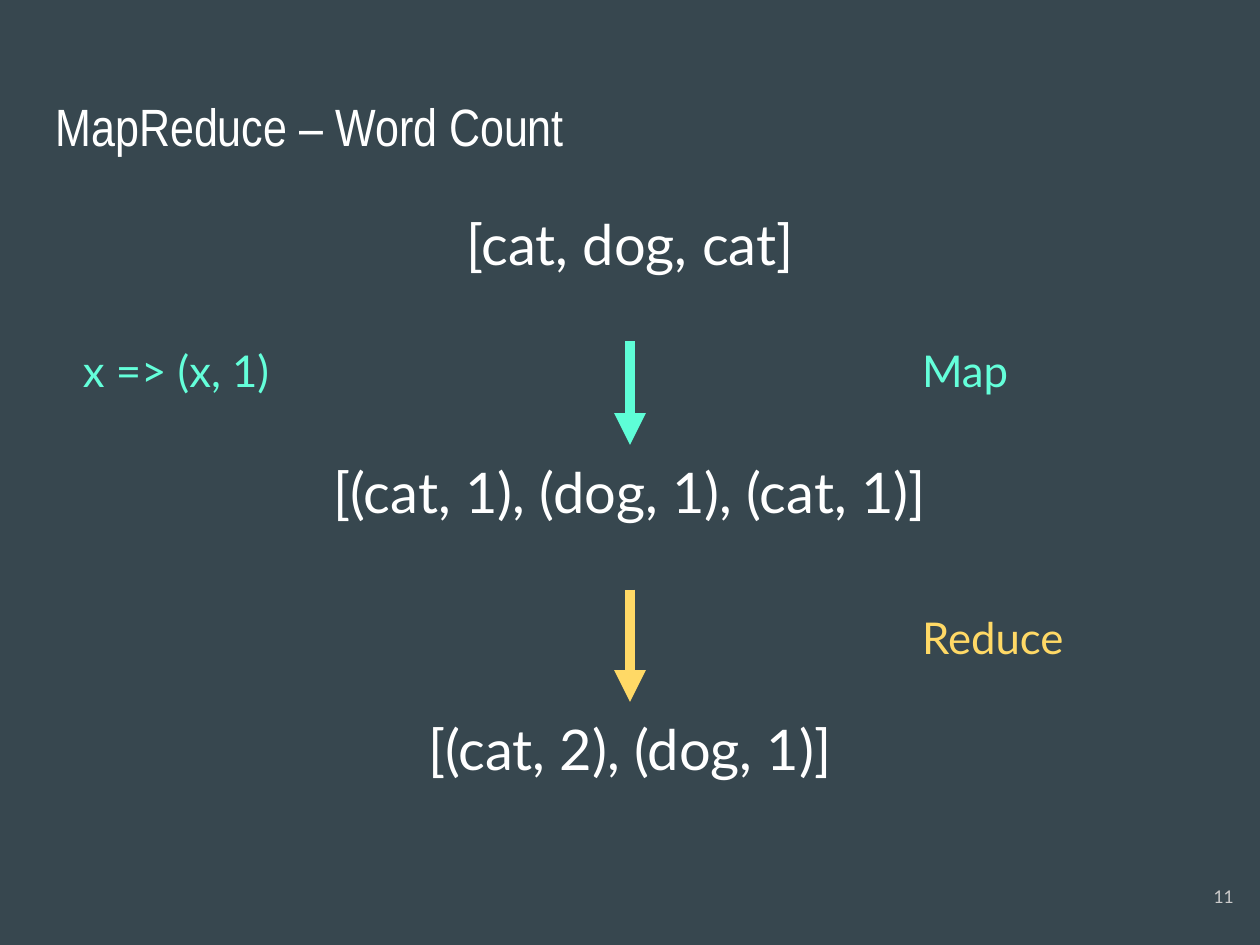
from lxml import etree
from pptx import Presentation
from pptx.dml.color import RGBColor
from pptx.enum.shapes import MSO_CONNECTOR
from pptx.enum.text import MSO_ANCHOR, PP_ALIGN
from pptx.oxml.ns import qn
from pptx.util import Inches, Pt

LEFT, CENTER, RIGHT = PP_ALIGN.LEFT, PP_ALIGN.CENTER, PP_ALIGN.RIGHT
TOP, MIDDLE = MSO_ANCHOR.TOP, MSO_ANCHOR.MIDDLE
STRAIGHT = MSO_CONNECTOR.STRAIGHT

WIDTH, HEIGHT = 10, 7.5
BACKGROUND, WHITE, GRAY = "37474F", "FFFFFF", "CACACA"
MINT, ARROW_MINT, YELLOW = "64FFDA", "5EFDD7", "FFD966"

TITLE = "MapReduce – Word Count"
PAGE_NUMBER = "11"
STAGES = [
    ("[cat, dog, cat]", 1.56, 9.19),
    ("[(cat, 1), (dog, 1), (cat, 1)]", 3.53, 9.1),
    ("[(cat, 2), (dog, 1)]", 5.57, 6.89),
]
STAGE_HEIGHT = 1.15
STEP_LABELS = [
    ("x => (x, 1)", 0.56, 2.63, 2.14, MINT),
    ("Map", 7.22, 2.63, 1.74, MINT),
    ("Reduce", 7.22, 4.75, 1.74, YELLOW),
]
ARROW_COLORS = [ARROW_MINT, YELLOW]


def rgb(value):
    return RGBColor.from_string(value)


def write(shape, text, size, color, font="Lato", align=LEFT, anchor=TOP):
    frame = shape.text_frame
    frame.word_wrap = True
    frame.vertical_anchor = anchor
    frame.margin_left = frame.margin_right = Inches(0.1)
    frame.margin_top = frame.margin_bottom = Inches(0.1)
    para = frame.paragraphs[0]
    para.text = text
    para.alignment = align
    para.font.name = font
    para.font.size = Pt(size)
    para.font.color.rgb = rgb(color)


def add_text(slide, place, *content, **style):
    box = slide.shapes.add_textbox(*map(Inches, place))
    write(box, *content, **style)


def add_arrow(slide, top, bottom, color):
    middle = Inches(WIDTH / 2)
    arrow = slide.shapes.add_connector(
        STRAIGHT, middle, Inches(top), middle, Inches(bottom))
    arrow.line.color.rgb = rgb(color)
    arrow.line.width = Pt(6)
    etree.SubElement(arrow.line._get_or_add_ln(), qn("a:tailEnd"), type="triangle")
    etree.SubElement(arrow._element.spPr, qn("a:effectLst"))


def main():
    deck = Presentation()
    deck.slide_width, deck.slide_height = Inches(WIDTH), Inches(HEIGHT)
    slide = deck.slides.add_slide(deck.slide_layouts[5])
    slide.background.fill.solid()
    slide.background.fill.fore_color.rgb = rgb(BACKGROUND)

    title = slide.shapes.title
    title.left, title.top = Inches(0.34), Inches(0.65)
    title.width, title.height = Inches(9.32), Inches(0.83)
    write(title, TITLE, 30, WHITE, font="Arial Narrow")

    for text, top, width in STAGES:
        place = ((WIDTH - width) / 2, top, width, STAGE_HEIGHT)
        add_text(slide, place, text, 32, WHITE, align=CENTER)
    for text, left, top, width, color in STEP_LABELS:
        add_text(slide, (left, top, width, 0.65), text, 25, color)
    for before, after, color in zip(STAGES, STAGES[1:], ARROW_COLORS):
        add_arrow(slide, before[1] + STAGE_HEIGHT, after[1], color)
    add_text(slide, (9.29, 6.83, 0.6, 0.57), PAGE_NUMBER, 10, GRAY,
             align=RIGHT, anchor=MIDDLE)

    deck.save("out.pptx")


if __name__ == "__main__":
    main()
